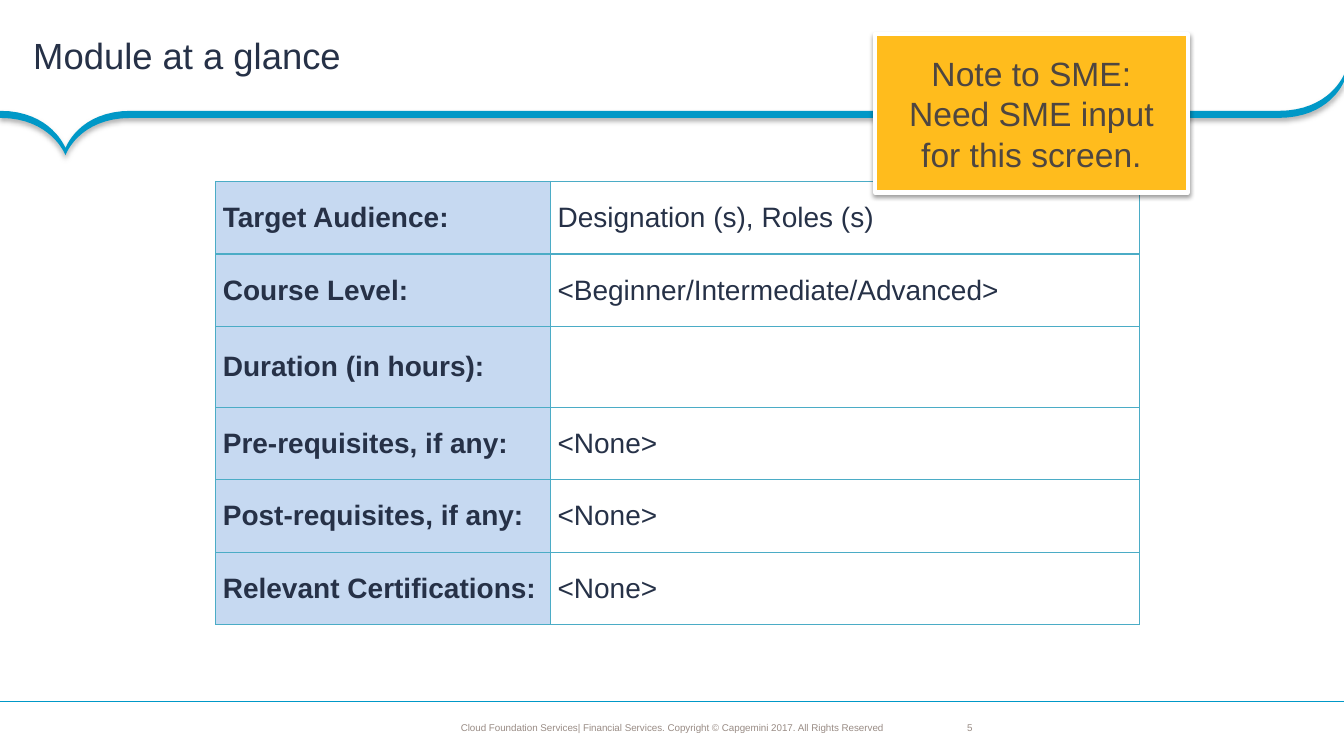
from lxml.etree import SubElement
from pptx import Presentation
from pptx.dml.color import RGBColor
from pptx.enum.shapes import MSO_CONNECTOR, MSO_SHAPE
from pptx.enum.text import MSO_ANCHOR, PP_ALIGN
from pptx.oxml import parse_xml
from pptx.oxml.ns import nsdecls, qn
from pptx.util import Inches, Pt

NAVY = RGBColor(0x26, 0x31, 0x47)
BLUE = RGBColor(0x00, 0x98, 0xC7)
TEAL = RGBColor(0x4B, 0xAC, 0xC6)
PALE_BLUE = RGBColor(0xC6, 0xD9, 0xF1)
AMBER = RGBColor(0xFF, 0xBC, 0x1D)
BROWN = RGBColor(0x4E, 0x46, 0x41)
GREY = RGBColor(0x99, 0x8C, 0x85)
WHITE = RGBColor(0xFF, 0xFF, 0xFF)

TITLE = "Module at a glance"
NOTE = ["Note to SME:", "Need SME input for this screen."]
FOOTER = ("Cloud Foundation Services| Financial Services. "
          "Copyright © Capgemini 2017. All Rights Reserved")
PAGE_NUMBER = "5"
MODULE_FACTS = [  # label, value, row height
    ("Target Audience:", "Designation (s), Roles (s)", 0.72),
    ("Course Level:", "<Beginner/Intermediate/Advanced>", 0.72),
    ("Duration (in hours):", "", 0.8),
    ("Pre-requisites, if any:", "<None>", 0.72),
    ("Post-requisites, if any:", "<None>", 0.72),
    ("Relevant Certifications:", "<None>", 0.72),
]
COLUMN_WIDTHS = (3.32, 5.84)
SLIDE_WIDTH, SLIDE_HEIGHT = 13.33, 7.5
FOOTER_RULE_Y = 6.96

# Upper edge of the ribbon, left to right: Bézier curves of four points each
RIBBON_THICKNESS = 0.07
RIBBON_CURVES = [
    [(0, 1.1), (0.51, 1.1), (0.65, 1.47), (0.65, 1.47)],
    [(0.65, 1.47), (0.65, 1.47), (0.78, 1.1), (1.3, 1.1)],
    [(12.68, 1.1), (13.19, 1.1), (13.33, 0.74), (13.33, 0.74)],
]
CURVE_STEPS = 16


def curve_points(curve):
    for step in range(CURVE_STEPS + 1):
        t = step / CURVE_STEPS
        weights = ((1 - t) ** 3, 3 * t * (1 - t) ** 2, 3 * t * t * (1 - t), t ** 3)
        yield tuple(sum(w * point[axis] for w, point in zip(weights, curve))
                    for axis in (0, 1))


def set_shadow(shape, opacity, blur, distance):
    """Give the shape a black shadow falling straight down."""
    shape.shadow.inherit = False
    effects = shape._element.spPr.find(qn("a:effectLst"))
    effects.append(parse_xml(
        f'<a:outerShdw {nsdecls("a")} blurRad="{Pt(blur)}" dist="{Pt(distance)}" '
        f'dir="5400000" algn="t" rotWithShape="0"><a:srgbClr val="000000">'
        f'<a:alpha val="{opacity * 1000}"/></a:srgbClr></a:outerShdw>'))


def write(frame, lines, size, color, bold=False, align=PP_ALIGN.LEFT):
    frame.text = "\n".join(lines)
    font_format = {"name": "Arial", "size": Pt(size), "bold": bold}
    for paragraph in frame.paragraphs:
        paragraph.alignment = align
        for name, value in font_format.items():
            setattr(paragraph.font, name, value)
        paragraph.font.color.rgb = color
        for run in paragraph.runs:
            for name, value in font_format.items():
                setattr(run.font, name, value)
            run.font.color.rgb = color


def set_margins(target, left, top, right, bottom):
    margins = {"margin_left": left, "margin_top": top,
               "margin_right": right, "margin_bottom": bottom}
    for name, value in margins.items():
        setattr(target, name, Inches(value))


def add_text(slide, box, margins, text, size, color, wrap, align):
    frame = slide.shapes.add_textbox(*map(Inches, box)).text_frame
    frame.word_wrap = wrap
    frame.vertical_anchor = MSO_ANCHOR.MIDDLE
    set_margins(frame, *margins)
    write(frame, [text], size, color, align=align)


def add_ribbon(slide):
    upper = [point for curve in RIBBON_CURVES for point in curve_points(curve)]
    lower = [(x, y + RIBBON_THICKNESS) for x, y in reversed(upper)]
    outline = [(Inches(x), Inches(y)) for x, y in upper + lower]
    builder = slide.shapes.build_freeform(*outline[0])
    builder.add_line_segments(outline[1:], close=True)
    ribbon = builder.convert_to_shape()
    ribbon.fill.solid()
    ribbon.fill.fore_color.rgb = BLUE
    ribbon.line.fill.background()
    set_shadow(ribbon, 31, 4, 2)


def add_footer(slide):
    rule = slide.shapes.add_connector(
        MSO_CONNECTOR.STRAIGHT, Inches(SLIDE_WIDTH), Inches(FOOTER_RULE_Y),
        0, Inches(FOOTER_RULE_Y))
    rule.line.color.rgb = BLUE
    rule.line.width = Pt(0.75)
    SubElement(rule._element.spPr, qn("a:effectLst"))
    add_text(slide, (9.56, 7.16, 0.12, 0.12), (0,) * 4, PAGE_NUMBER, 7, GREY,
             False, PP_ALIGN.CENTER)
    add_text(slide, (3.99, 7.08, 5.35, 0.27), (0.04,) * 4, FOOTER, 7, GREY,
             False, PP_ALIGN.CENTER)


def set_borders(cell):
    properties = cell._tc.get_or_add_tcPr()
    for index, side in enumerate(("lnL", "lnR", "lnT", "lnB")):
        properties.insert(index, parse_xml(
            f'<a:{side} {nsdecls("a")} w="{Pt(1)}"><a:solidFill>'
            f'<a:srgbClr val="{TEAL}"/></a:solidFill></a:{side}>'))


def add_facts_table(slide):
    heights = [height for *_, height in MODULE_FACTS]
    table = slide.shapes.add_table(
        len(MODULE_FACTS), len(COLUMN_WIDTHS), Inches(2.14), Inches(1.8),
        Inches(sum(COLUMN_WIDTHS)), Inches(sum(heights))).table
    table.first_row = table.horz_banding = False
    for column, width in zip(table.columns, COLUMN_WIDTHS):
        column.width = Inches(width)
    for row, (label, value, height) in zip(table.rows, MODULE_FACTS):
        row.height = Inches(height)
        looks = ((label, PALE_BLUE, True), (value, WHITE, False))
        for cell, (text, fill, bold) in zip(row.cells, looks):
            cell.fill.solid()
            cell.fill.fore_color.rgb = fill
            cell.vertical_anchor = MSO_ANCHOR.MIDDLE
            set_margins(cell, 0.07, 0, 0.07, 0)
            write(cell.text_frame, [text], 20, NAVY, bold)
            set_borders(cell)


def add_note(slide):
    note = slide.shapes.add_shape(
        MSO_SHAPE.RECTANGLE, *map(Inches, (8.68, 0.34, 3.1, 1.57)))
    note.fill.solid()
    note.fill.fore_color.rgb = AMBER
    note.line.color.rgb = WHITE
    note.line.width = Pt(3)
    set_shadow(note, 38, 3.1, 1.6)
    note.text_frame.word_wrap = True
    note.text_frame.vertical_anchor = MSO_ANCHOR.MIDDLE
    write(note.text_frame, NOTE, 24, BROWN, align=PP_ALIGN.CENTER)


def main():
    deck = Presentation()
    deck.slide_width = Inches(SLIDE_WIDTH)
    deck.slide_height = Inches(SLIDE_HEIGHT)
    slide = deck.slides.add_slide(deck.slide_layouts[6])
    add_ribbon(slide)
    add_footer(slide)
    add_text(slide, (0, 0, SLIDE_WIDTH, 1.1), (0.33, 0.04, 0.18, 0.04), TITLE,
             26, NAVY, True, PP_ALIGN.LEFT)
    add_facts_table(slide)
    add_note(slide)
    deck.save("out.pptx")


if __name__ == "__main__":
    main()
